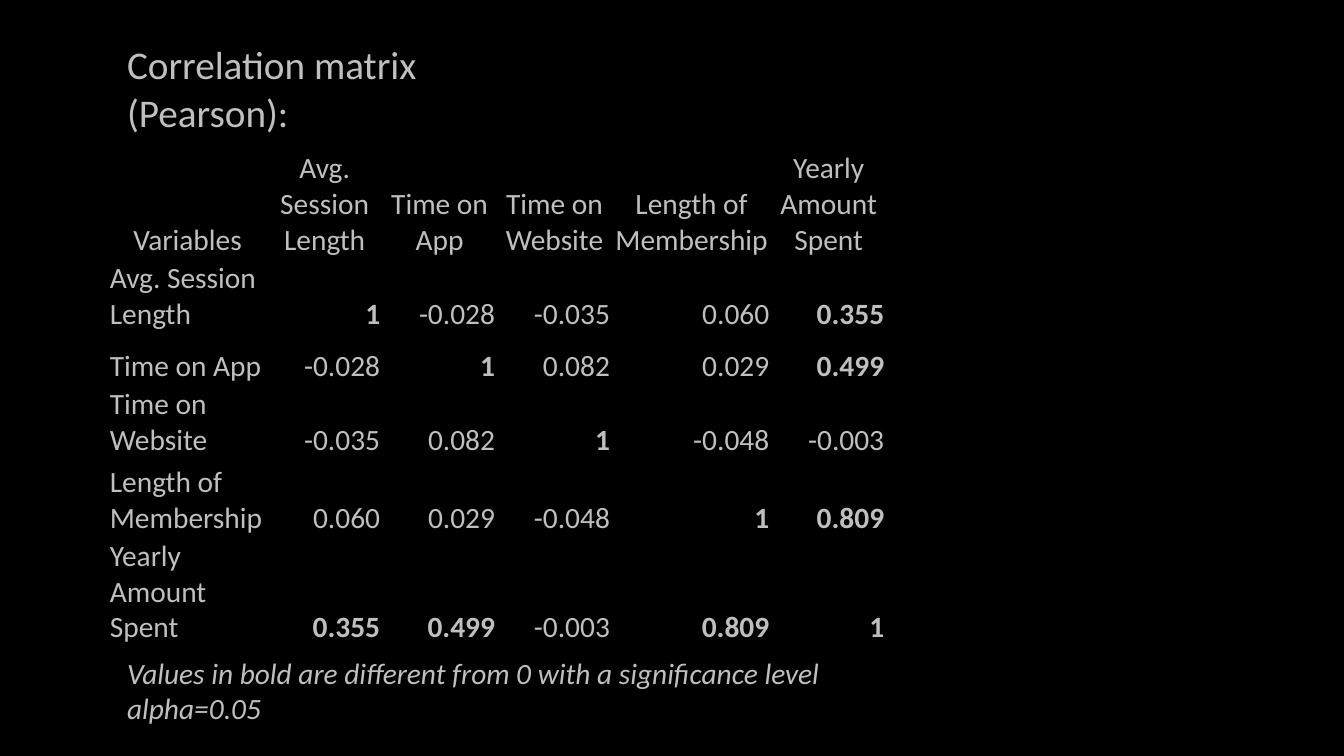
import pptx
import pptx.dml.color
import pptx.enum.text
import pptx.oxml
import pptx.oxml.ns
import pptx.util
from pptx.util import Inches

ALIGN = pptx.enum.text.PP_ALIGN
ANCHOR = pptx.enum.text.MSO_ANCHOR
NO_GRID_STYLE = "{2D5ABB26-0587-4C30-8999-92F81FD0307C}"

VARIABLES = ["Avg. Session Length", "Time on App", "Time on Website",
             "Length of Membership", "Yearly Amount Spent"]
CORRELATIONS = [
    ["1", "-0.028", "-0.035", "0.060", "0.355"],
    ["-0.028", "1", "0.082", "0.029", "0.499"],
    ["-0.035", "0.082", "1", "-0.048", "-0.003"],
    ["0.060", "0.029", "-0.048", "1", "0.809"],
    ["0.355", "0.499", "-0.003", "0.809", "1"],
]
SIGNIFICANT = 0.1
COL_WIDTHS = [1.28, 1.58, 1.14, 1.14, 1.14, 1.58, 1.14, 0.3]
ROW_HEIGHTS = [0.65, 0.77, 0.52, 0.52, 0.52, 0.77, 0.77, 0.65]
# Row: {side: line width in points}
RULES = {0: {"B": 1}, 1: {"T": 1, "B": 0.5}, 2: {"T": 0.5},
         6: {"B": 1}, 7: {"T": 1}}


def color(value):
    return pptx.dml.color.RGBColor.from_string(value)


class Deck:
    font, ink, ground = "Calibri", "BFBFBF", "000000"
    wide_margins = (0.19, 0.1, 0.19, 0.1)
    tight_margins = (0.02, 0.02, 0.02, 0)

    def __init__(self, prs):
        self.s = prs.slides.add_slide(prs.slide_layouts[6])
        fill = self.s.background.fill
        fill.solid()
        fill.fore_color.rgb = color(self.ground)

    def table(self, left, top, height, widths, heights):
        frame = self.s.shapes.add_table(len(heights), len(widths), Inches(left),
                                        Inches(top), Inches(sum(widths)), Inches(height))
        table = frame.table
        table.first_row = table.horz_banding = False
        style = frame.element.find(".//" + pptx.oxml.ns.qn("a:tableStyleId"))
        style.text = NO_GRID_STYLE
        for column, width in zip(table.columns, widths):
            column.width = Inches(width)
        for row, row_height in zip(table.rows, heights):
            row.height = Inches(row_height)
        frame.height = Inches(height)
        return table

    def border(self, cell, side, width):
        cell._tc.get_or_add_tcPr().append(pptx.oxml.parse_xml(
            f'<a:ln{side} {pptx.oxml.ns.nsdecls("a")} w="{int(width * 12700)}">'
            f'<a:solidFill><a:srgbClr val="{self.ground}"/></a:solidFill></a:ln{side}>'))

    def text(self, cell, text, size=21, bold=False, italic=False,
             align=ALIGN.LEFT, anchor=ANCHOR.BOTTOM, margins=tight_margins):
        (cell.margin_left, cell.margin_top,
         cell.margin_right, cell.margin_bottom) = map(Inches, margins)
        cell.vertical_anchor = anchor
        p = cell.text_frame.paragraphs[0]
        p.alignment = align
        r = p.add_run()
        r.text = text
        r.font.name, r.font.size = self.font, pptx.util.Pt(size)
        r.font.bold, r.font.italic = bold, italic
        r.font.color.rgb = color(self.ink)

    def wide_text(self, table, row, last_col, text, **fmt):
        table.cell(row, 1).merge(table.cell(row, last_col))
        self.text(table.cell(row, 1), text, anchor=ANCHOR.TOP,
                  margins=self.wide_margins, **fmt)


def main():
    prs = pptx.Presentation()
    prs.slide_width, prs.slide_height = Inches(13.33), Inches(7.5)
    deck = Deck(prs)
    table = deck.table(-0.21, 0.32, 6.98, COL_WIDTHS, ROW_HEIGHTS)

    # Rules and clear cells
    for row in range(len(ROW_HEIGHTS)):
        for col in range(len(COL_WIDTHS)):
            cell = table.cell(row, col)
            if 1 <= col <= 6:
                for side, width in RULES.get(row, {}).items():
                    deck.border(cell, side, width)
            cell.fill.background()

    # Heading and footnote
    deck.wide_text(table, 0, 3, "Correlation matrix (Pearson):", size=28)
    deck.wide_text(table, 7, 7, "Values in bold are different from 0 with a "
                   "significance level alpha=0.05", italic=True)

    # Column headers
    for col, name in enumerate(["Variables"] + VARIABLES, 1):
        deck.text(table.cell(1, col), name, align=ALIGN.CENTER)

    # Matrix
    for row, (name, values) in enumerate(zip(VARIABLES, CORRELATIONS), 2):
        deck.text(table.cell(row, 1), name)
        for col, value in enumerate(values, 2):
            deck.text(table.cell(row, col), value, align=ALIGN.RIGHT,
                      bold=abs(float(value)) >= SIGNIFICANT)

    prs.save("out.pptx")


if __name__ == "__main__":
    main()
